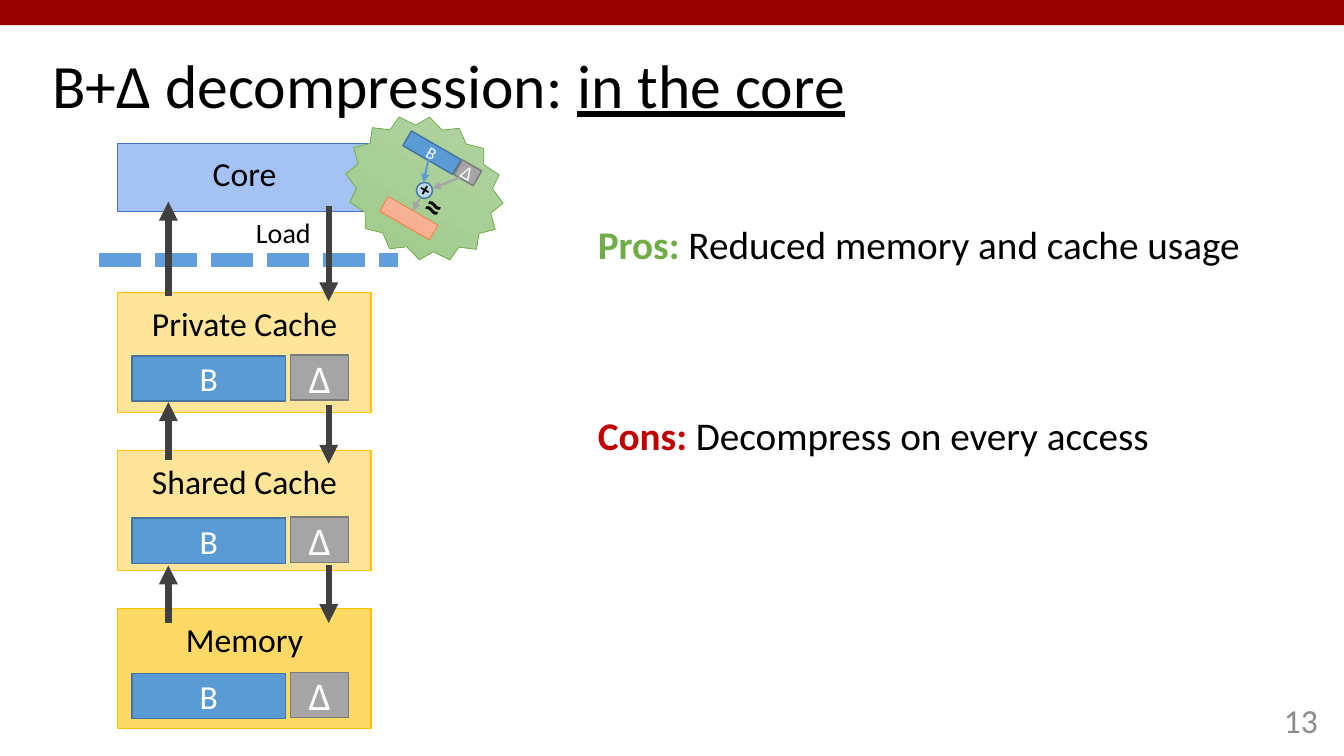
from lxml import etree
from pptx import Presentation
from pptx.dml.color import RGBColor
from pptx.enum.dml import MSO_LINE
from pptx.enum.shapes import MSO_CONNECTOR, MSO_SHAPE
from pptx.enum.text import MSO_ANCHOR, MSO_AUTO_SIZE, PP_ALIGN
from pptx.oxml.ns import qn
from pptx.util import Inches, Pt

RECT, STAR, OVAL = MSO_SHAPE.RECTANGLE, MSO_SHAPE.STAR_16_POINT, MSO_SHAPE.OVAL
STRAIGHT, DASH = MSO_CONNECTOR.STRAIGHT, MSO_LINE.SQUARE_DOT
TOP, MIDDLE = MSO_ANCHOR.TOP, MSO_ANCHOR.MIDDLE
LEFT, CENTER, RIGHT = PP_ALIGN.LEFT, PP_ALIGN.CENTER, PP_ALIGN.RIGHT
NO_FIT = MSO_AUTO_SIZE.NONE

BLACK, WHITE = RGBColor(0, 0, 0), RGBColor(255, 255, 255)
BANNER, PAGE_GRAY = RGBColor(0x99, 0, 0), RGBColor(0x8C, 0x8C, 0x8C)
CORE_FILL, CORE_LINE = RGBColor(0xA4, 0xC2, 0xF4), RGBColor(0x44, 0x72, 0xC4)
CACHE_FILL, MEMORY_FILL = RGBColor(0xFF, 0xE5, 0x99), RGBColor(0xFF, 0xD9, 0x66)
GOLD = RGBColor(0xFF, 0xC0, 0)
BLUE, BLUE_LINE = RGBColor(0x5B, 0x9B, 0xD5), RGBColor(0x43, 0x73, 0x9E)
GRAY, GRAY_LINE = RGBColor(0xA5, 0xA5, 0xA5), RGBColor(0x7A, 0x7A, 0x7A)
PALE_BLUE, DIVIDER = RGBColor(0xBD, 0xD7, 0xEE), RGBColor(0x60, 0x9F, 0xDC)
GREEN, RED = RGBColor(0x70, 0xAD, 0x47), RGBColor(0xC0, 0, 0)
GREEN_FADE = [RGBColor(0xB5, 0xD5, 0xA7), RGBColor(0x9C, 0xC9, 0x87)]
ORANGE_FADE = [RGBColor(0xF7, 0xBD, 0xA5), RGBColor(0xF8, 0xA5, 0x82)]
ORANGE, ARROW = RGBColor(0xED, 0x7D, 0x31), RGBColor(0x40, 0x40, 0x40)

TITLE = [("B+Δ decompression: ", {}), ("in the core", {"underline": True})]
POINTS = [("Pros: ", GREEN, "Reduced memory and cache usage", 0),
          ("Cons: ", RED, "Decompress on every access", 102.5)]
LEVELS = [("Private Cache", CACHE_FILL, 3.53), ("Shared Cache", CACHE_FILL, 5.14),
          ("Memory", MEMORY_FILL, 6.68)]
STACK_X, STACK_W, LEVEL_Y, LEVEL_H, PITCH = 1.17, 2.51, 2.9, 1.19, 1.57
DOWN_X, UP_X, TILT = 3.26, 1.67, 30
DOWN_SPANS = [(2.04, 2.99), (4.02, 4.6), (5.61, 6.18)]
UP_SPANS = [(6.18, 5.61), (4.56, 3.99), (2.94, 2)]
ADDER_ARROWS = [(4.25, 1.58, 4.2, 1.81, BLUE), (4.56, 1.76, 4.29, 1.87, GRAY),
                (4.17, 1.96, 4.09, 2.09, GRAY)]

prs = Presentation()
prs.slide_width, prs.slide_height = Inches(13.33), Inches(7.5)
slide = prs.slides.add_slide(prs.slide_layouts[1])
shapes = slide.shapes


def place(sp, x, y, w, h):
    sp.left, sp.top, sp.width, sp.height = (Inches(v) for v in (x, y, w, h))


def add_run(p, text, size=24, color=BLACK, bold=False, underline=None):
    r = p.add_run()
    r.text = text
    r.font.name, r.font.size, r.font.bold = "Calibri", Pt(size), bold
    r.font.underline = underline
    r.font.color.rgb = color


def set_text(sp, text, align=CENTER, anchor=MIDDLE, inset=(0, 0), wrap=True, **font):
    tf = sp.text_frame
    tf.word_wrap, tf.vertical_anchor = wrap, anchor
    tf.margin_left = tf.margin_right = Inches(inset[0])
    tf.margin_top = tf.margin_bottom = Inches(inset[1])
    p = tf.paragraphs[0]
    p.alignment = align
    add_run(p, text, **font)


def add_label(text, x, y, w, h, rotation=0, **kw):
    sp = shapes.add_textbox(Inches(x), Inches(y), Inches(w), Inches(h))
    sp.rotation = rotation
    set_text(sp, text, **kw)


def add_box(x, y, w, h, fill, line=None, weight=1, kind=RECT, rotation=0):
    sp = shapes.add_shape(kind, Inches(x), Inches(y), Inches(w), Inches(h))
    sp.shadow.inherit = False
    sp.rotation = rotation
    if isinstance(fill, list):
        sp.fill.gradient()
        sp.fill.gradient_angle = 270
        for stop, color, position in zip(sp.fill.gradient_stops, fill, (0, 1)):
            stop.color.rgb, stop.position = color, position
    else:
        sp.fill.solid()
        sp.fill.fore_color.rgb = fill
    if line is None:
        sp.line.fill.background()
    else:
        sp.line.color.rgb, sp.line.width = line, Pt(weight)
    return sp


def add_line(x1, y1, x2, y2, color, weight, arrow=True):
    cn = shapes.add_connector(STRAIGHT, Inches(x1), Inches(y1), Inches(x2), Inches(y2))
    cn.line.color.rgb, cn.line.width = color, Pt(weight)
    if arrow:
        ln = cn._element.spPr.find(qn("a:ln"))
        etree.SubElement(ln, qn("a:tailEnd"), type="triangle")
    else:
        cn.line.dash_style = DASH
    etree.SubElement(cn._element.spPr, qn("a:effectLst"))


def add_pair(base, delta, base_size, delta_size, rotation=0):
    for at, text, size, fill, line in ((base, "B", base_size, BLUE, BLUE_LINE),
                                       (delta, "Δ", delta_size, GRAY, GRAY_LINE)):
        sp = add_box(*at, fill, line, rotation=rotation)
        set_text(sp, text, size=size, color=WHITE)


add_box(0, 0, 13.33, 0.25, BANNER)

title = shapes.title
place(title, 0.42, 0.45, 12.5, 0.85)
title.text_frame.vertical_anchor = MIDDLE
title.text_frame.auto_size = NO_FIT
p = title.text_frame.paragraphs[0]
p.alignment, p.line_spacing = LEFT, 0.9
for text, style in TITLE:
    add_run(p, text, size=44, **style)

body = slide.placeholders[1]
place(body, 5.83, 2.14, 7.27, 2.46)
tf = body.text_frame
tf.auto_size, tf.vertical_anchor = NO_FIT, TOP
for i, (head, color, text, gap) in enumerate(POINTS):
    p = tf.add_paragraph() if i else tf.paragraphs[0]
    p.space_before = Pt(gap)
    pPr = p._p.get_or_add_pPr()
    pPr.set("marL", "0")
    pPr.set("indent", "0")
    etree.SubElement(pPr, qn("a:buNone"))
    add_run(p, head, size=28, color=color, bold=True)
    add_run(p, text, size=28)

add_label("13", 12.09, 6.94, 1.08, 0.4, align=RIGHT, inset=(0.1, 0.05), color=PAGE_GRAY)

core = add_box(STACK_X, 1.42, STACK_W, 0.68, CORE_FILL, CORE_LINE, 0.75)
set_text(core, "Core", anchor=TOP, inset=(0.1, 0.1))
for i, (name, fill, _) in enumerate(LEVELS):
    sp = add_box(STACK_X, LEVEL_Y + i * PITCH, STACK_W, LEVEL_H, fill, GOLD, 0.75)
    set_text(sp, name, anchor=TOP, inset=(0.1, 0.1))
add_line(0.98, 2.58, 3.95, 2.58, DIVIDER, 10, arrow=False)

star = add_box(3.4, 1.18, 1.62, 1.38, GREEN_FADE, GREEN, 0.5, STAR, TILT)
star.adjustments[0] = 0.435
add_pair((4, 1.43, 0.57, 0.17), (4.53, 1.63, 0.22, 0.17), 12, 14, TILT)
add_box(3.77, 2.08, 0.57, 0.17, ORANGE_FADE, ORANGE, 0.5, rotation=TILT)
add_box(4.13, 1.81, 0.16, 0.16, PALE_BLUE, BLUE_LINE, kind=OVAL, rotation=TILT)
for x1, y1, x2, y2, color in ADDER_ARROWS:
    add_line(x1, y1, x2, y2, color, 1.5)
symbol = {"rotation": TILT, "anchor": TOP, "inset": (0.1, 0.05), "wrap": False,
          "align": LEFT, "bold": True}
add_label("+", 4.07, 1.72, 0.34, 0.34, size=14, **symbol)
add_label("≈", 4.13, 1.79, 0.33, 0.5, size=24, **symbol)

add_label("Load", 2.44, 2.04, 0.78, 0.54, align=LEFT, anchor=TOP, inset=(0.1, 0.1),
          wrap=False, size=20)
for x, spans in ((DOWN_X, DOWN_SPANS), (UP_X, UP_SPANS)):
    for start, end in spans:
        add_line(x, start, x, end, ARROW, 4.5)
for _, _, y in LEVELS:
    add_pair((1.31, y, 1.52, 0.45), (2.88, y - 0.01, 0.58, 0.45), 24, 28)

prs.save("out.pptx")
